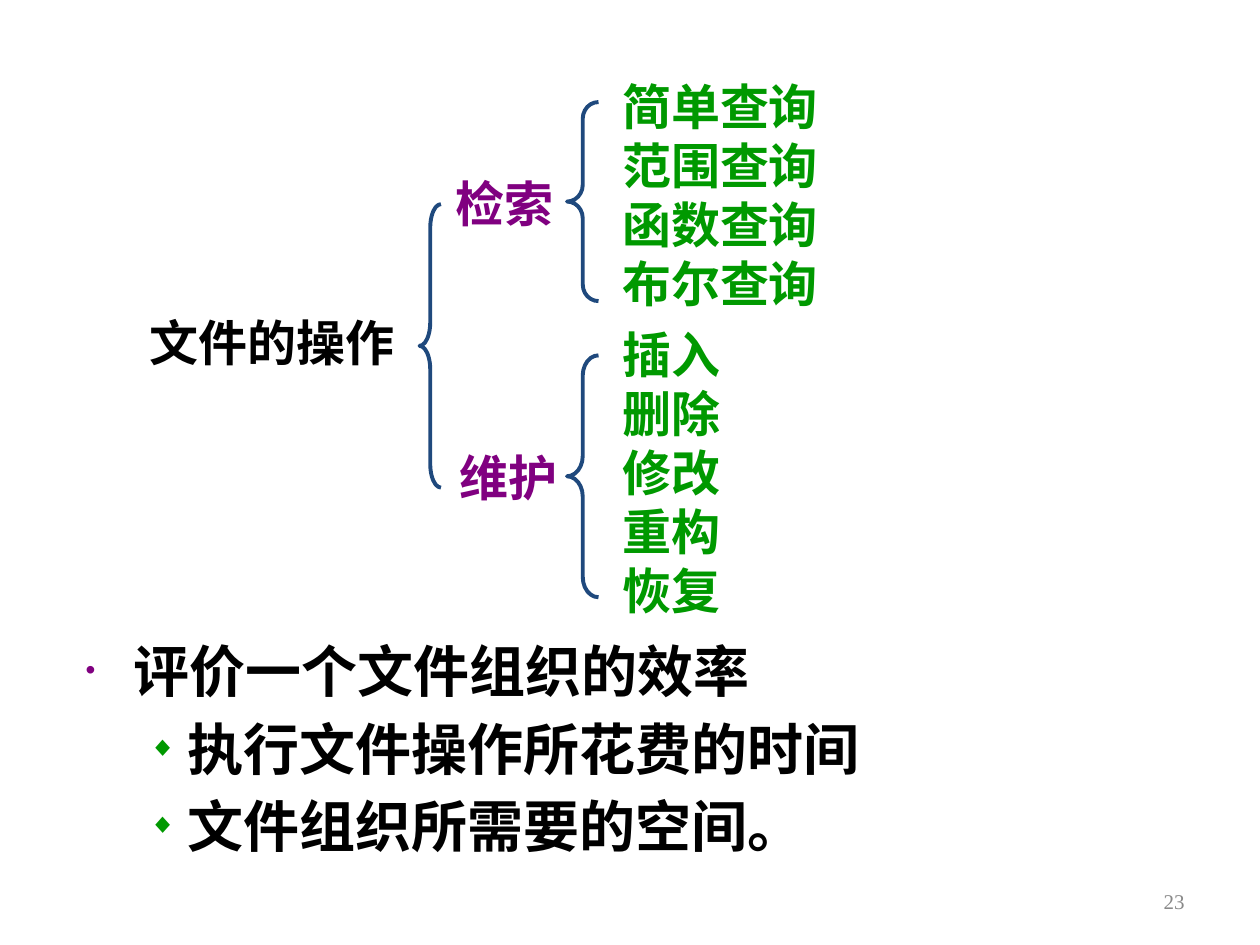
from dataclasses import dataclass

from lxml.etree import SubElement as Sub
from pptx import Presentation
from pptx.dml.color import RGBColor as RGB
from pptx.enum.shapes import MSO_SHAPE as Shape
from pptx.enum.text import MSO_ANCHOR as Anchor, MSO_AUTO_SIZE as Fit, PP_ALIGN as Align
from pptx.oxml.ns import qn
from pptx.util import Inches, Pt


@dataclass(frozen=True)
class Theme:
    """Colours, fonts and type sizes of the slide."""
    ink: str = "000000"
    group: str = "800080"
    leaf: str = "009900"
    brace: str = "1F497D"
    muted: str = "898989"
    serif: str = "Times New Roman"
    sans: str = "Calibri"
    body: int = 32
    tree: int = 28
    note: int = 12


THEME = Theme()


def style(para, size, face, color, bold=True):
    """Format every run of a paragraph."""
    for run in para.runs:
        font = run.font
        font.size, font.name, font.bold = Pt(size), face, bold
        font.color.rgb = RGB.from_string(color)


def add_label(slide, box, lines, color):
    """Place a block of tree text, one paragraph a line."""
    frame = slide.shapes.add_textbox(*map(Inches, box)).text_frame
    frame.word_wrap = False
    frame.auto_size = Fit.SHAPE_TO_FIT_TEXT
    frame.text = "\n".join(lines)
    for para in frame.paragraphs:
        style(para, THEME.tree, THEME.serif, color)


def add_brace(slide, box):
    """Place a left brace whose curves are a twelfth of its height."""
    wide, high = box[2:]
    brace = slide.shapes.add_shape(Shape.LEFT_BRACE, *map(Inches, box))
    brace.adjustments[0] = high / 12 / wide
    brace.shadow.inherit = False
    brace.fill.background()
    brace.line.color.rgb = RGB.from_string(THEME.brace)
    brace.line.width = Pt(2.25)


def add_tree(slide, box):
    """Place the tree of file operations in its box."""
    left, top = box
    row, pad, short = 0.47, 0.1, 0.99
    add_label(slide, (left, top + 1.87, 2.15, 0.57), ["文件的操作"], THEME.ink)
    add_brace(slide, (left + 2.24, top + 1.06, 0.17, 2.25))
    groups = [
        ("检索", 2.43, 0.77, 0, 1.58, 0.25, 1.76, ["简单查询", "范围查询", "函数查询", "布尔查询"]),
        ("维护", 2.46, 2.94, 1.97, 1.92, 0.29, short, ["插入", "删除", "修改", "重构", "恢复"]),
    ]
    for name, x, y, start, high, drop, wide, leaves in groups:
        tall = row * len(leaves) + pad
        add_label(slide, (left + x, top + y, short, 0.57), [name], THEME.group)
        add_brace(slide, (left + 3.41, top + start + drop, 0.25, high))
        add_label(slide, (left + 3.75, top + start, wide, tall), leaves, THEME.leaf)


def set_bullet(para, mark, color, edge, hang):
    """Give a paragraph a coloured half-size bullet and a hanging indent."""
    props = para._p.get_or_add_pPr()
    props.set("marL", str(Inches(edge)))
    props.set("indent", str(-Inches(hang)))
    Sub(Sub(props, qn("a:buClr")), qn("a:srgbClr"), val=color)
    Sub(props, qn("a:buSzPct"), val="50000")
    Sub(props, qn("a:buFont"), typeface="Arial")
    Sub(props, qn("a:buChar"), char=mark)


def add_points(slide, box):
    """Fill the body placeholder with the points on efficiency."""
    body = slide.placeholders[1]
    body.left, body.top, body.width, body.height = map(Inches, box)
    frame = body.text_frame
    frame.auto_size = Fit.NONE
    frame.text = "评价一个文件组织的效率\n执行文件操作所花费的时间\n文件组织所需要的空间。"
    marks = [("•", THEME.group, 0.38, 0.38), ("◆", THEME.leaf, 0.81, 0.31)]
    for para, level in zip(frame.paragraphs, (0, 1, 1)):
        para.level = level
        para.space_before = Pt(6)
        set_bullet(para, *marks[level])
        style(para, THEME.body, THEME.sans, THEME.ink)


def add_number(slide, box, text):
    """Place the page number."""
    frame = slide.shapes.add_textbox(*map(Inches, box)).text_frame
    frame.word_wrap = True
    frame.vertical_anchor = Anchor.MIDDLE
    frame.text = text
    para = frame.paragraphs[0]
    para.alignment = Align.RIGHT
    style(para, THEME.note, THEME.serif, THEME.muted, False)


def main():
    """Build and save the slide."""
    deck = Presentation()
    deck.slide_width, deck.slide_height = Inches(10), Inches(7.5)
    slide = deck.slides.add_slide(deck.slide_layouts[1])
    title = slide.shapes.title.element
    title.getparent().remove(title)
    add_points(slide, (0.58, 5, 8.5, 2))
    add_number(slide, (7.17, 6.95, 2.33, 0.4), "23")
    add_tree(slide, (1.09, 0.56))
    deck.save("out.pptx")


if __name__ == "__main__":
    main()
